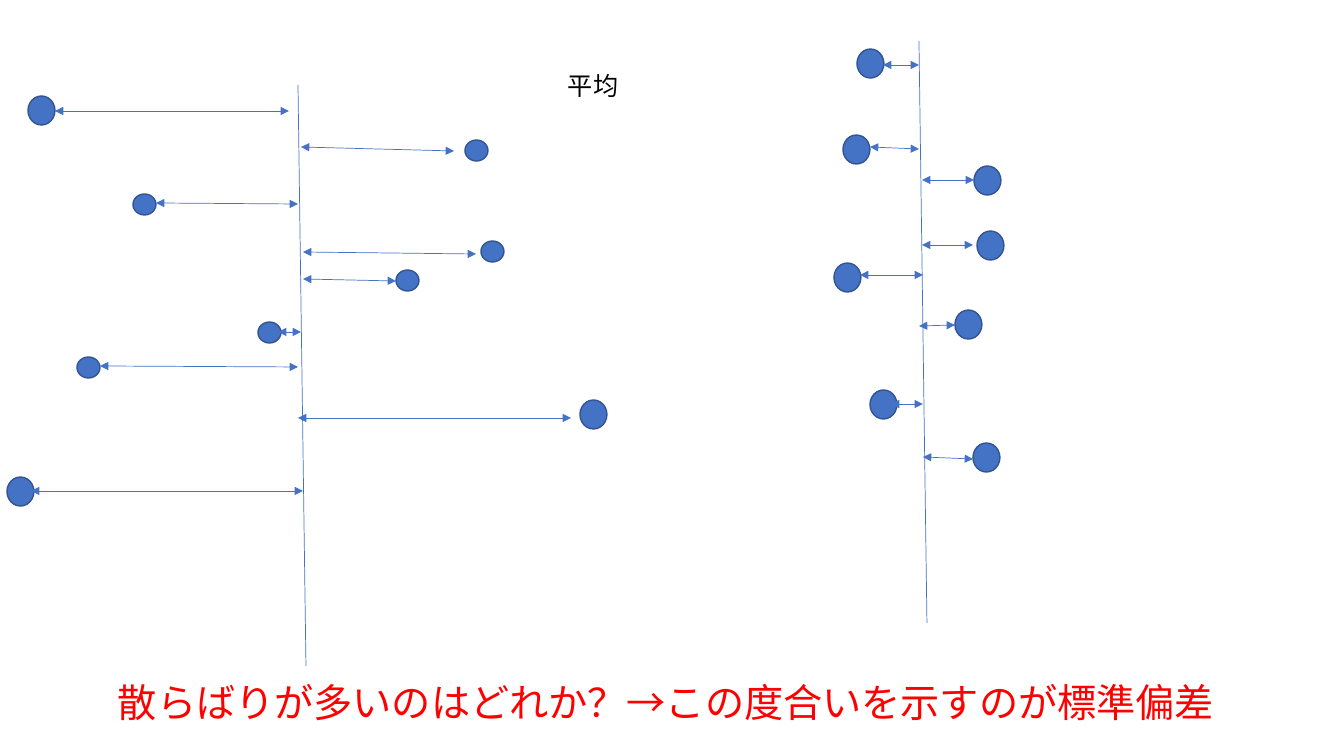
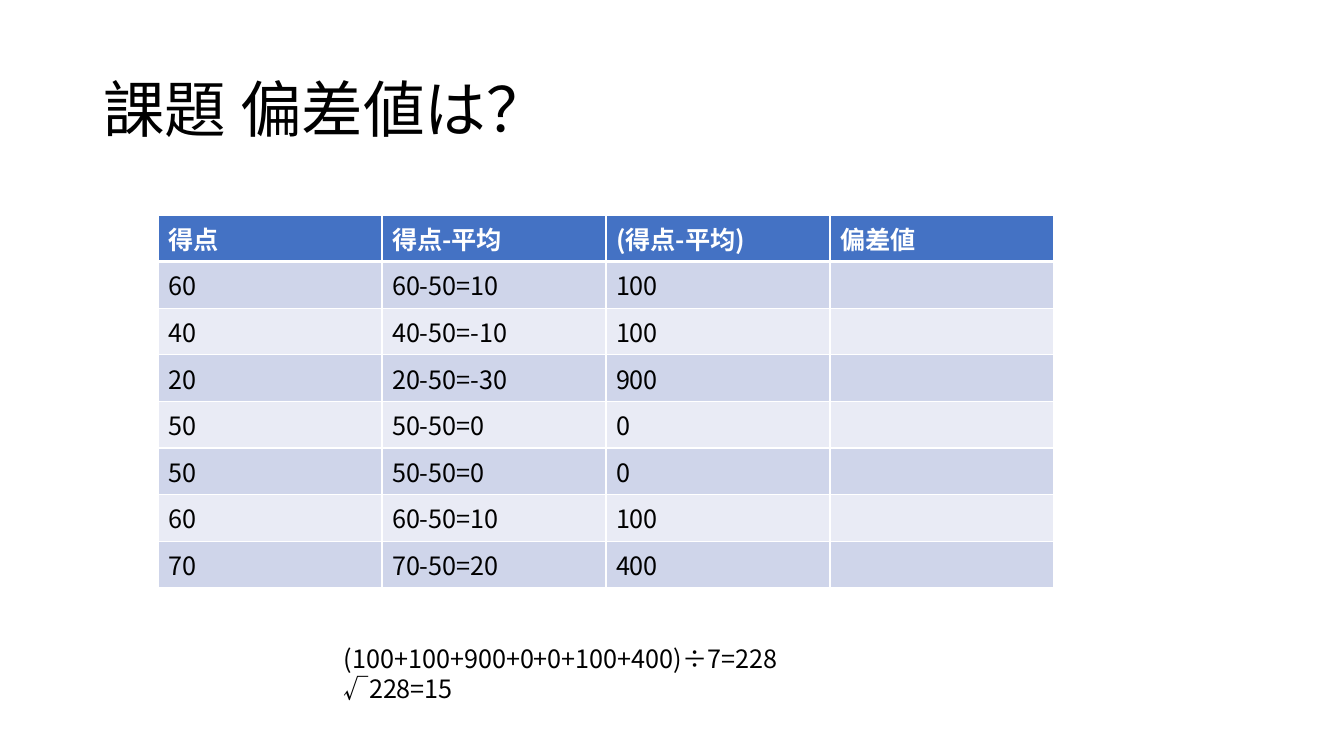
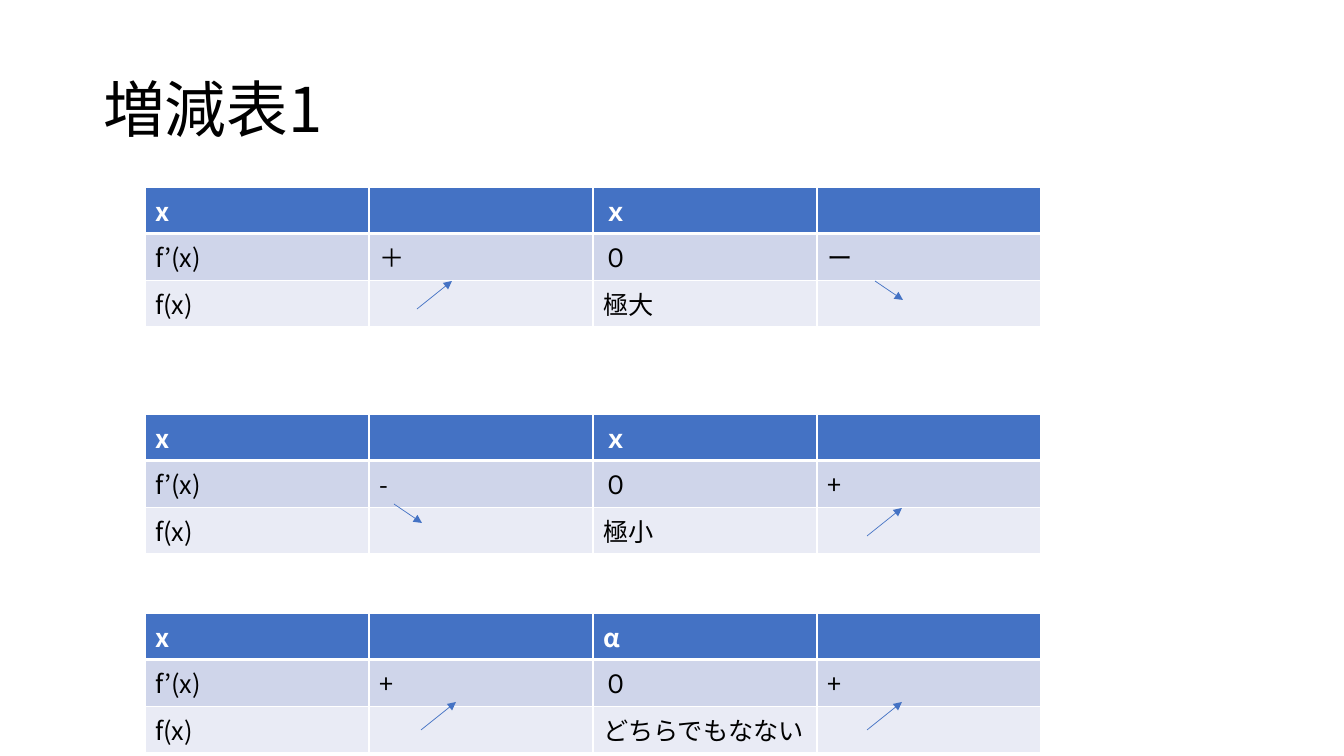
from lxml.etree import SubElement
from pptx import Presentation
from pptx.dml.color import RGBColor
from pptx.enum.shapes import MSO_CONNECTOR, MSO_SHAPE
from pptx.enum.text import MSO_ANCHOR, MSO_AUTO_SIZE, PP_ALIGN
from pptx.oxml.ns import qn
from pptx.util import Emu, Pt

SCALE = 914400 / 100.8
FONT = "Noto Sans CJK JP"
COLORS = {
    "blue": "4472C4",
    "outline": "325491",
    "band_dark": "CFD5EA",
    "band_light": "E9EBF5",
    "white": "FFFFFF",
    "black": "000000",
    "red": "FF0000",
}
TITLE_ONLY, BLANK = 5, 6


def px(length):
    return Emu(round(length * SCALE))


def rgb(color):
    return RGBColor.from_string(COLORS[color])


class Deck:
    def __init__(self):
        self.presentation = Presentation()
        self.presentation.slide_width = px(1344)
        self.presentation.slide_height = px(756)
        self.slide = None

    def add_slide(self, title=None):
        layout = BLANK if title is None else TITLE_ONLY
        self.slide = self.presentation.slides.add_slide(
            self.presentation.slide_layouts[layout])
        if title is not None:
            self.title(title)

    def format_text(self, text_frame, size, color="black", bold=False):
        for paragraph in text_frame.paragraphs:
            for run in paragraph.runs:
                run.font.size = Pt(size)
                run.font.bold = bold
                run.font.color.rgb = rgb(color)
                run.font.name = FONT
                east_asian = SubElement(run.font._element, qn("a:ea"))
                east_asian.set("typeface", FONT)

    def title(self, text):
        shape = self.slide.shapes.title
        shape.left, shape.top, shape.width, shape.height = map(px, (93, 40, 1159, 146))
        text_frame = shape.text_frame
        text_frame.text = text
        text_frame.auto_size = MSO_AUTO_SIZE.NONE
        text_frame.vertical_anchor = MSO_ANCHOR.MIDDLE
        paragraph = text_frame.paragraphs[0]
        paragraph.alignment = PP_ALIGN.LEFT
        paragraph.line_spacing = 0.9
        self.format_text(text_frame, 44)

    def text(self, text, left, top, width, height, size=18, color="black"):
        shape = self.slide.shapes.add_textbox(*map(px, (left, top, width, height)))
        text_frame = shape.text_frame
        text_frame.text = text
        text_frame.word_wrap = False
        text_frame.auto_size = MSO_AUTO_SIZE.SHAPE_TO_FIT_TEXT
        self.format_text(text_frame, size, color)

    def dot(self, left, top, size):
        shape = self.slide.shapes.add_shape(MSO_SHAPE.OVAL, *map(px, (left, top, *size)))
        shape.shadow.inherit = False
        shape.fill.solid()
        shape.fill.fore_color.rgb = rgb("blue")
        shape.line.color.rgb = rgb("outline")
        shape.line.width = Pt(1)

    def line(self, start, end, arrowheads=()):
        connector = self.slide.shapes.add_connector(
            MSO_CONNECTOR.STRAIGHT, *map(px, (*start, *end)))
        connector.line.color.rgb = rgb("blue")
        connector.line.width = Pt(0.5)
        properties = connector._element.spPr
        for arrowhead in arrowheads:
            SubElement(properties.find(qn("a:ln")), qn(arrowhead)).set("type", "triangle")
        SubElement(properties, qn("a:effectLst"))

    def border(self, cell, side, width):
        line = SubElement(cell._tc.get_or_add_tcPr(), qn(f"a:ln{side}"))
        line.set("w", str(Pt(width)))
        fill = SubElement(line, qn("a:solidFill"))
        SubElement(fill, qn("a:srgbClr")).set("val", COLORS["white"])

    def table(self, rows, left, top, column_width=224, row_height=41):
        columns = len(rows[0])
        table = self.slide.shapes.add_table(
            len(rows), columns, px(left), px(top),
            px(column_width * columns), px(row_height * len(rows))).table
        table.horz_banding = False
        for row_index, row in enumerate(rows):
            header = row_index == 0
            band = "band_dark" if row_index % 2 else "band_light"
            for column_index, text in enumerate(row):
                cell = table.cell(row_index, column_index)
                cell.text_frame.text = text
                self.format_text(cell.text_frame, 18, "white" if header else "black", header)
                widths = {"L": 1, "R": 1, "T": 3 if row_index == 1 else 1, "B": 3 if header else 1}
                for side, width in widths.items():
                    self.border(cell, side, width)
                cell.fill.solid()
                cell.fill.fore_color.rgb = rgb("blue" if header else band)


LARGE_DOT, SMALL_DOT = (27, 29), (23, 21)
END_ONLY = ("a:tailEnd",)
BOTH_ENDS = ("a:headEnd", "a:tailEnd")
MEAN_LINES = [((298, 85), (306, 666)), ((919, 41), (927, 623))]
DEVIATIONS = {
    SMALL_DOT: [
        (133, 194, (156, 203), (298, 204)),
        (481, 241, (303, 252), (476, 254)),
        (258, 322, (278, 332), (301, 332)),
        (465, 140, (301, 147), (454, 151)),
        (77, 357, (100, 366), (298, 367)),
        (396, 270, (303, 279), (396, 281)),
    ],
    LARGE_DOT: [
        (28, 96, (55, 111), (289, 111)),
        (580, 400, (298, 418), (571, 418)),
        (7, 477, (31, 491), (303, 491)),
        (857, 49, (883, 65), (919, 65)),
        (843, 135, (870, 147), (919, 149)),
        (974, 166, (922, 180), (974, 180)),
        (977, 231, (922, 245), (973, 245)),
        (834, 263, (860, 275), (923, 275)),
        (955, 310, (919, 326), (955, 325)),
        (870, 390, (891, 404), (923, 404)),
        (973, 443, (923, 457), (973, 459)),
    ],
}

deck = Deck()
deck.add_slide()
for start, end in MEAN_LINES:
    deck.line(start, end)
for size, deviations in DEVIATIONS.items():
    for left, top, start, end in deviations:
        deck.dot(left, top, size)
        deck.line(start, end, BOTH_ENDS)
deck.text("平均", 558, 65, 72, 40)
deck.text("散らばりが多いのはどれか？→この度合いを示すのが標準偏差",
          108, 673, 1129, 57, size=28, color="red")

MEAN = 50
SCORES = [60, 40, 20, 50, 50, 60, 70]
score_rows = [["得点", "得点-平均", "(得点-平均)", "偏差値"]]
for score in SCORES:
    difference = score - MEAN
    score_rows.append([str(score), f"{score}-{MEAN}={difference}", str(difference ** 2), ""])

deck.add_slide("課題 偏差値は？")
deck.table(score_rows, 158, 215)
deck.text("(100+100+900+0+0+100+400)÷7=228\n√228=15", 334, 638, 491, 71)

RISE, FALL = (35, -28), (28, 19)
VARIATIONS = [
    (187, "ｘ", "＋", "ー", "極大", [(417, 309, RISE), (875, 281, FALL)]),
    (414, "ｘ", "-", "+", "極小", [(394, 504, FALL), (867, 536, RISE)]),
    (613, "α", "+", "+", "どちらでもなない", [(421, 730, RISE), (867, 730, RISE)]),
]

deck.add_slide("増減表1")
for top, point, sign_before, sign_after, extremum, trends in VARIATIONS:
    deck.table([
        ["x", "", point, ""],
        ["f’(x)", sign_before, "０", sign_after],
        ["f(x)", "", extremum, ""],
    ], 145, top)
    for x, y, (run, climb) in trends:
        deck.line((x, y), (x + run, y + climb), END_ONLY)

deck.presentation.save("out.pptx")
